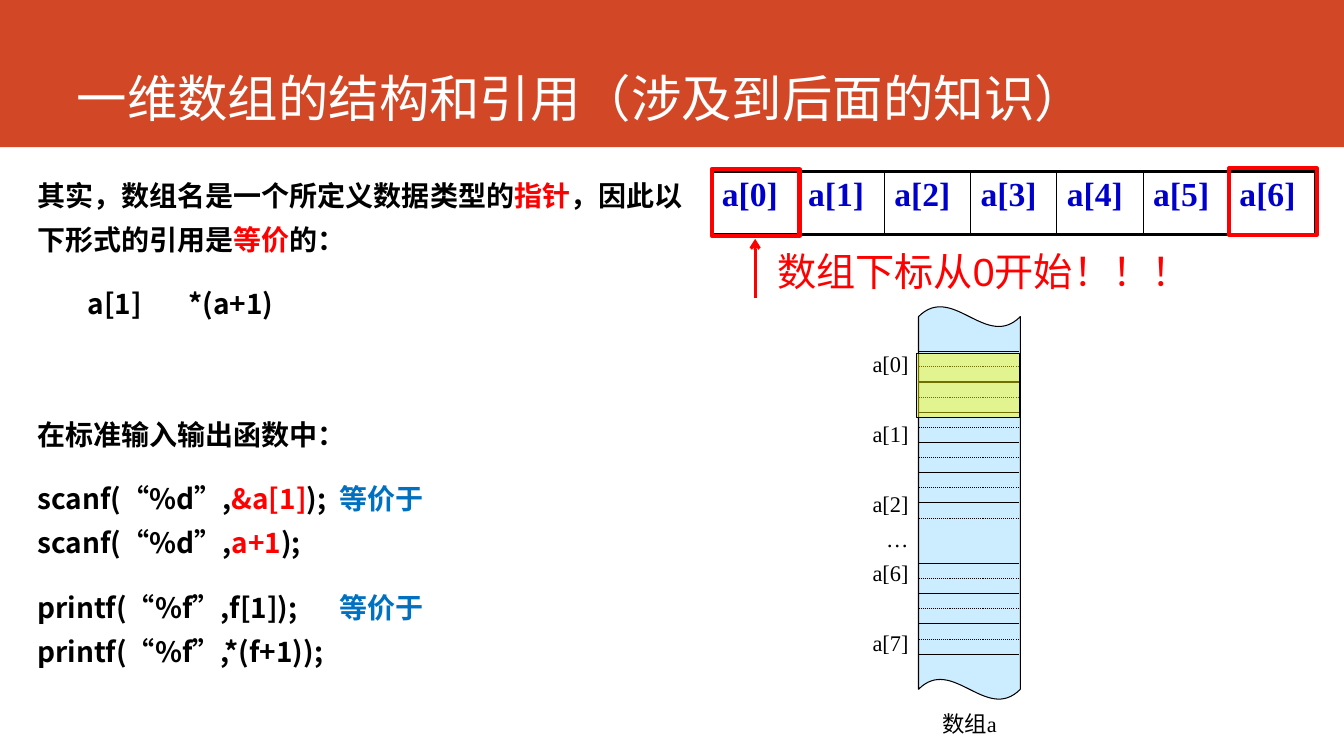
import pptx
import pptx.util
import pptx.dml.color
import pptx.enum.dml
import pptx.enum.shapes
import pptx.enum.text
import pptx.oxml
import pptx.oxml.ns
from lxml import etree

Inches, Pt = pptx.util.Inches, pptx.util.Pt
RGBColor = pptx.dml.color.RGBColor
Shape = pptx.enum.shapes.MSO_SHAPE
Align = pptx.enum.text.PP_ALIGN
Anchor = pptx.enum.text.MSO_ANCHOR
qn = pptx.oxml.ns.qn

WHITE = RGBColor(0xFF, 0xFF, 0xFF)
BLACK = RGBColor(0, 0, 0)
RED = RGBColor(0xFF, 0, 0)
ORANGE = RGBColor(0xD2, 0x47, 0x26)
NAVY = RGBColor(0, 0, 0xCC)
BLUE = RGBColor(0, 0x70, 0xC0)
SKY = RGBColor(0xCC, 0xEC, 0xFF)
YELLOW = RGBColor(0xFF, 0xFF, 0)

SANS, SERIF, ARIAL = "Noto Sans CJK SC", "Times New Roman", "Arial"


def add_xml(parent, tag, **attributes):
    return etree.SubElement(parent, qn(tag), attributes)


class Slide:
    def __init__(self, page):
        self.page = page
        self.shapes = page.shapes

    def start_group(self):
        """Send the elements that follow into a new group."""
        self.shapes = self.page.shapes.add_group_shape().shapes

    def run(self, para, text, size, font, color, bold=False):
        span = para.add_run()
        span.text = text
        span.font.size, span.font.bold = Pt(size), bold
        span.font.name = font
        span.font.color.rgb = color
        add_xml(span.font._element, "a:ea", typeface=SANS)

    def place(self, shape, left, top, width, height):
        shape.left, shape.top = Inches(left), Inches(top)
        shape.width, shape.height = Inches(width), Inches(height)

    def frame(self, shape, margin=None):
        """Prepare a wrapping text frame, with one margin on all sides if given."""
        frame = shape.text_frame
        frame.word_wrap = True
        frame.auto_size = pptx.enum.text.MSO_AUTO_SIZE.NONE
        if margin is not None:
            frame.margin_left = frame.margin_right = Inches(margin)
            frame.margin_top = frame.margin_bottom = Inches(margin)
        return frame

    def title(self, text):
        holder = self.page.shapes.title
        self.place(holder, 0.66, 0, 11.76, 1.32)
        frame = self.frame(holder)
        frame.vertical_anchor = Anchor.BOTTOM
        para = frame.paragraphs[0]
        para.alignment = Align.LEFT
        self.run(para, text, 36, SANS, WHITE)

    def body(self, paragraphs):
        """Fill the body from (space before, tab stops, lines of runs)."""
        holder = self.page.placeholders[1]
        self.place(holder, 0.37, 1.67, 6.64, 5.6)
        frame = self.frame(holder, 0)
        frame.vertical_anchor = Anchor.TOP
        for index, (before, stops, lines) in enumerate(paragraphs):
            para = frame.add_paragraph() if index else frame.paragraphs[0]
            para.alignment = Align.LEFT
            para.line_spacing = 1.3
            para.space_before, para.space_after = Pt(before), Pt(10)
            properties = para._p.get_or_add_pPr()
            properties.set("marL", "0")
            properties.set("indent", "0")
            add_xml(properties, "a:buNone")
            if stops:
                tabs = add_xml(properties, "a:tabLst")
                for stop in stops:
                    add_xml(tabs, "a:tab", pos=str(Inches(stop)), algn="l")
            for number, line in enumerate(lines):
                if number:
                    para.add_line_break()
                for text, color in line:
                    self.run(para, text, 20, SANS, color, True)

    def text(self, left, top, width, height, text, size, font, color,
             align=Align.LEFT):
        box = self.shapes.add_textbox(0, 0, 0, 0)
        self.place(box, left, top, width, height)
        para = self.frame(box).paragraphs[0]
        para.alignment = align
        self.run(para, text, size, font, color)

    def labels(self, left, top, width, height, labels, pitch):
        """Stack right-aligned labels, each a number of lines below the last."""
        box = self.shapes.add_textbox(0, 0, 0, 0)
        self.place(box, left, top, width, height)
        frame = self.frame(box, 0)
        frame.margin_right = Inches(0.1)
        for index, (text, skipped) in enumerate(labels):
            para = frame.add_paragraph() if index else frame.paragraphs[0]
            para.alignment = Align.RIGHT
            para.line_spacing = Pt(pitch)
            para.space_before = Pt(pitch * skipped)
            self.run(para, text, 16, SERIF, BLACK)

    def shape(self, kind, left, top, width, height, fill=None, line=None,
              weight=0.75, alpha=None):
        shape = self.shapes.add_shape(kind, 0, 0, 0, 0)
        self.place(shape, left, top, width, height)
        shape.shadow.inherit = False
        if fill is None:
            shape.fill.background()
        else:
            shape.fill.solid()
            shape.fill.fore_color.rgb = fill
        if alpha is not None:
            color = shape.element.spPr.find(qn("a:solidFill"))[0]
            add_xml(color, "a:alpha", val=str(alpha * 1000))
        if line is None:
            shape.line.fill.background()
        else:
            shape.line.color.rgb = line
            shape.line.width = Pt(weight)
        return shape

    def line(self, x1, y1, x2, y2, color=BLACK, weight=0.75, dotted=False,
             arrow=False):
        line = self.shapes.add_connector(
            pptx.enum.shapes.MSO_CONNECTOR.STRAIGHT,
            Inches(x1), Inches(y1), Inches(x2), Inches(y2))
        line.line.color.rgb = color
        line.line.width = Pt(weight)
        if dotted:
            line.line.dash_style = pptx.enum.dml.MSO_LINE.ROUND_DOT
        if arrow:
            add_xml(line.line._get_or_add_ln(), "a:tailEnd", type="arrow")
        add_xml(line._element.spPr, "a:effectLst")

    def table(self, left, top, width, height, texts):
        """Draw one row with heavy outer borders and thin dividers."""
        table = self.shapes.add_table(
            1, len(texts), Inches(left), Inches(top),
            Inches(width), Inches(height)).table
        table.first_row = table.horz_banding = False
        last = len(texts) - 1
        for index, text in enumerate(texts):
            cell = table.cell(0, index)
            self.run(cell.text_frame.paragraphs[0], text, 24, SERIF, NAVY, True)
            properties = cell._tc.get_or_add_tcPr()
            weights = {"a:lnL": 1 if index else 2.25,
                       "a:lnR": 1 if index < last else 2.25,
                       "a:lnT": 2.25, "a:lnB": 2.25}
            for side, weight in weights.items():
                border = add_xml(properties, side, w=str(Pt(weight)))
                fill = add_xml(border, "a:solidFill")
                add_xml(fill, "a:srgbClr", val=str(BLACK))
            cell.fill.background()


def main():
    deck = pptx.Presentation()
    deck.slide_width, deck.slide_height = Inches(13.33), Inches(7.5)
    slide = Slide(deck.slides.add_slide(deck.slide_layouts[1]))

    banner = slide.shape(Shape.RECTANGLE, 0, 0, 13.33, 1.46, ORANGE).element
    banner.getparent().insert(2, banner)
    slide.title("一维数组的结构和引用（涉及到后面的知识）")
    slide.body([
        (5, [], [[("其实，数组名是一个所定义数据类型的", BLACK), ("指针", RED),
                  ("，因此以下形式的引用是", BLACK), ("等价", RED),
                  ("的：", BLACK)]]),
        (5, [1, 2], [[("\ta[1]\t*(a+1)", BLACK)]]),
        (52, [], [[("在标准输入输出函数中：", BLACK)]]),
        (5, [3.46], [[("scanf(“%d”,", BLACK), ("&a[1]", RED),
                      (");\t", BLACK), ("等价于", BLUE)],
                     [("scanf(“%d”,", BLACK), ("a+1", RED), (");", BLACK)]]),
        (5, [3], [[("printf(“%f”,f[1]);\t", BLACK), ("等价于", BLUE)],
                  [("printf(“%f”,*(f+1));", BLACK)]]),
    ])

    slide.table(7.06, 1.7, 5.99, 0.63, [f"a[{index}]" for index in range(7)])
    for left, top in ((7.06, 1.68), (12.19, 1.67)):
        slide.shape(Shape.RECTANGLE, left, top, 0.87, 0.66, line=RED, weight=3)
    slide.line(7.49, 2.96, 7.49, 2.37, RED, 2.25, arrow=True)
    slide.text(7.61, 2.4, 4.38, 0.57, "数组下标从0开始！！！", 28, ARIAL, RED)

    slide.start_group()
    memory = slide.shape(Shape.WAVE, 9.11, 3.04, 1.01, 3.9, SKY, BLACK)
    memory.adjustments[0] = 0.026
    memory.adjustments[1] = 0
    omitted = 6
    for row in range(11):
        if row == omitted:
            continue
        top = 3.49 + 0.3 * row
        slide.line(9.11, top, 10.11, top)
        if row < 10:
            slide.line(9.11, top + 0.15, 10.11, top + 0.15, dotted=True)
    slide.labels(8.44, 3.4, 0.67, 3.3,
                 [("a[0]", 0), ("a[1]", 1), ("a[2]", 1), ("…", 0),
                  ("a[6]", 0), ("a[7]", 1)], 24.85)
    slide.text(9.11, 7, 1.01, 0.45, "数组a", 16, SERIF, BLACK, Align.CENTER)
    slide.shape(Shape.RECTANGLE, 9.09, 3.51, 1.02, 0.63, YELLOW, BLACK, alpha=44)
    deck.save("out.pptx")


if __name__ == "__main__":
    main()
